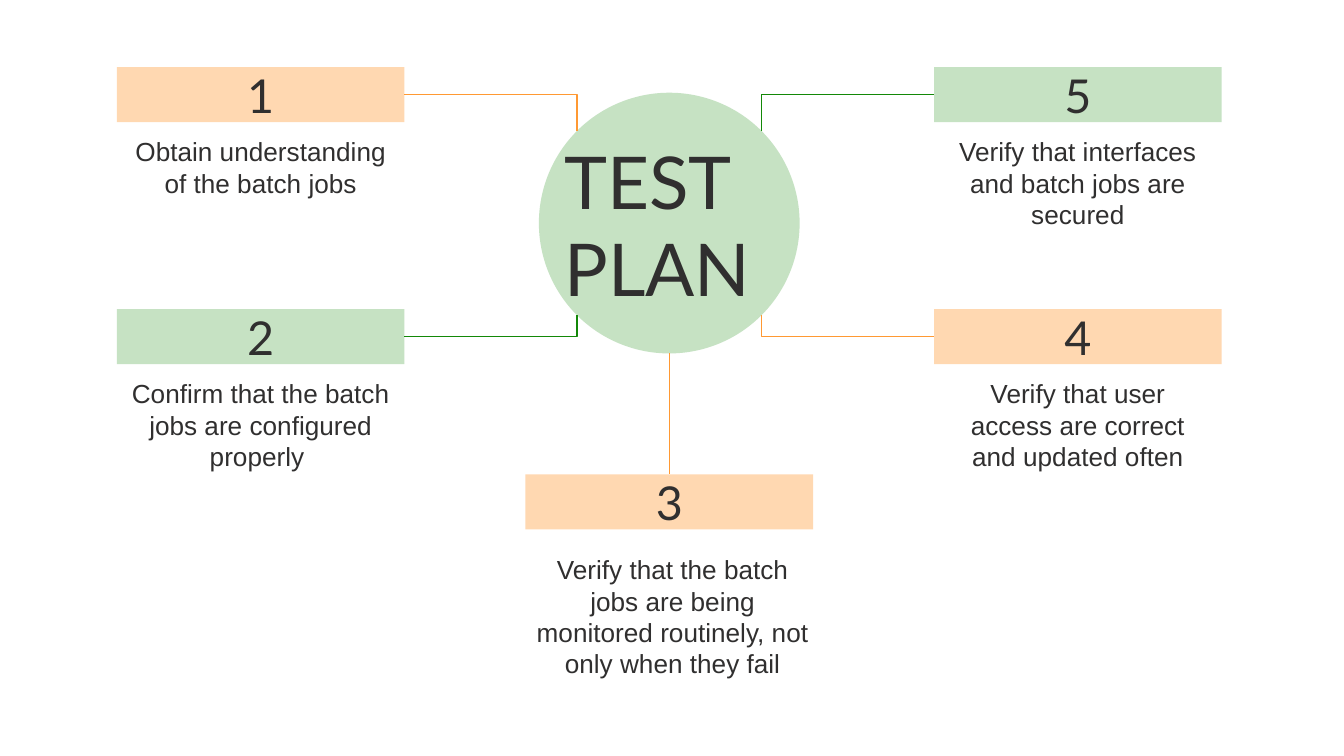
from dataclasses import dataclass

from lxml import etree
from pptx import Presentation, util as u
from pptx.dml.color import RGBColor
from pptx.enum import shapes, text
from pptx.oxml.ns import qn


@dataclass(frozen=True)
class Theme:
    ink: str = "302F2F"
    green: str = "138808"
    orange: str = "FF9933"
    head: str = "Lato"
    body: str = "Arial"
    big: int = 39
    mid: int = 25
    small: int = 14


T = Theme()
ALPHA = {T.green: 24, T.orange: 38}
SIZE = (10, 10 * 9 / 16)
COLS = [0.87 + 3.04 * i for i in range(3)]
ROWS = [0.5, 2.3, 3.53]
WIDE, HIGH = 2.14, 0.41
HUB = (4.01, 0.69, 1.94)  # left, top, diameter
MID = HUB[0] + HUB[2] / 2
REACH = HUB[2] / 2 * 0.5 ** 0.5  # centre to rim at 45 degrees, per axis

# number, column, row, colour, description
STEPS = [
    ("1", 0, 0, T.orange, "Obtain understanding of the batch jobs"),
    ("2", 0, 1, T.green, "Confirm that the batch jobs are configured properly "),
    ("3", 1, 2, T.orange, "Verify that the batch jobs are being monitored "
                          "routinely, not only when they fail"),
    ("4", 2, 1, T.orange, "Verify that user access are correct and updated often"),
    ("5", 2, 0, T.green, "Verify that interfaces and batch jobs are secured"),
]


def inch(*vals):
    return [u.Inches(v) for v in vals]


def assign(item, vals):
    for key, val in vals.items():
        setattr(item, key, val)


def write(shape, words, font, size, align="CENTER", anchor="MIDDLE"):
    frame = shape.text_frame
    frame.text = words
    pad = u.Inches(0.1)
    assign(frame, {
        "word_wrap": True,
        "auto_size": text.MSO_AUTO_SIZE.NONE,
        "vertical_anchor": text.MSO_ANCHOR[anchor],
        "margin_left": pad, "margin_right": pad,
        "margin_top": pad, "margin_bottom": pad,
    })
    para = frame.paragraphs[0]
    para.alignment = text.PP_ALIGN[align]
    assign(para.runs[0].font, {"name": font, "size": u.Pt(size), "bold": False})
    para.runs[0].font.color.rgb = RGBColor.from_string(T.ink)


def tint(slide, kind, box, hue):
    """Add a borderless shape with a see-through fill."""
    shape = slide.shapes.add_shape(kind, *inch(*box))
    shape.shadow.inherit = False
    shape.line.fill.background()
    shape.fill.solid()
    shape.fill.fore_color.rgb = RGBColor.from_string(hue)
    clr = shape._element.spPr.find(".//" + qn("a:srgbClr"))
    etree.SubElement(clr, qn("a:alpha"), val=str(ALPHA[hue] * 1000))
    return shape


def link(slide, start, end, hue):
    """Join two points, running level first and then upright."""
    line = slide.shapes.add_connector(
        shapes.MSO_CONNECTOR.ELBOW, *inch(*start, *end))
    props = line._element.spPr
    if start[0] != end[0]:
        props.find(qn("a:prstGeom")).set("prst", "bentConnector2")
    line.line.width = u.Pt(0.75)
    line.line.color.rgb = RGBColor.from_string(hue)
    etree.SubElement(props, qn("a:effectLst"))


def step(slide, num, col, row, hue, words):
    left, top = COLS[col], ROWS[row]
    bar = tint(slide, shapes.MSO_SHAPE.RECTANGLE, (left, top, WIDE, HIGH), hue)
    write(bar, num, T.head, T.mid)

    low = col == 1
    box = (3.89, 4.02, 2.23, 1.14) if low else (left, top + HIGH, WIDE, 0.53)
    note = slide.shapes.add_textbox(*inch(*box))
    write(note, words, T.body, T.small, anchor="TOP")

    if low:
        link(slide, (MID, HUB[1] + HUB[2]), (MID, top), hue)
        return
    side = -1 if col == 0 else 1
    rise = -1 if row == 0 else 1
    edge = left + WIDE if col == 0 else left
    rim = (MID + side * REACH, HUB[1] + HUB[2] / 2 + rise * REACH)
    link(slide, (edge, top + HIGH / 2), rim, hue)


def hub(slide):
    left, top, size = HUB
    tint(slide, shapes.MSO_SHAPE.OVAL, (left, top, size, size), T.green)


def title(slide):
    head = slide.shapes.title
    spot = inch(4.1, 1.46, 1.81, HIGH)
    assign(head, dict(zip(("left", "top", "width", "height"), spot)))
    write(head, "TEST PLAN", T.head, T.big, align="LEFT")
    slide.shapes._spTree.append(head._element)  # bring to front


def main():
    deck = Presentation()
    assign(deck, dict(zip(("slide_width", "slide_height"), inch(*SIZE))))
    slide = deck.slides.add_slide(deck.slide_layouts[5])
    hub(slide)
    for item in STEPS:
        step(slide, *item)
    title(slide)
    deck.save("out.pptx")


if __name__ == "__main__":
    main()
